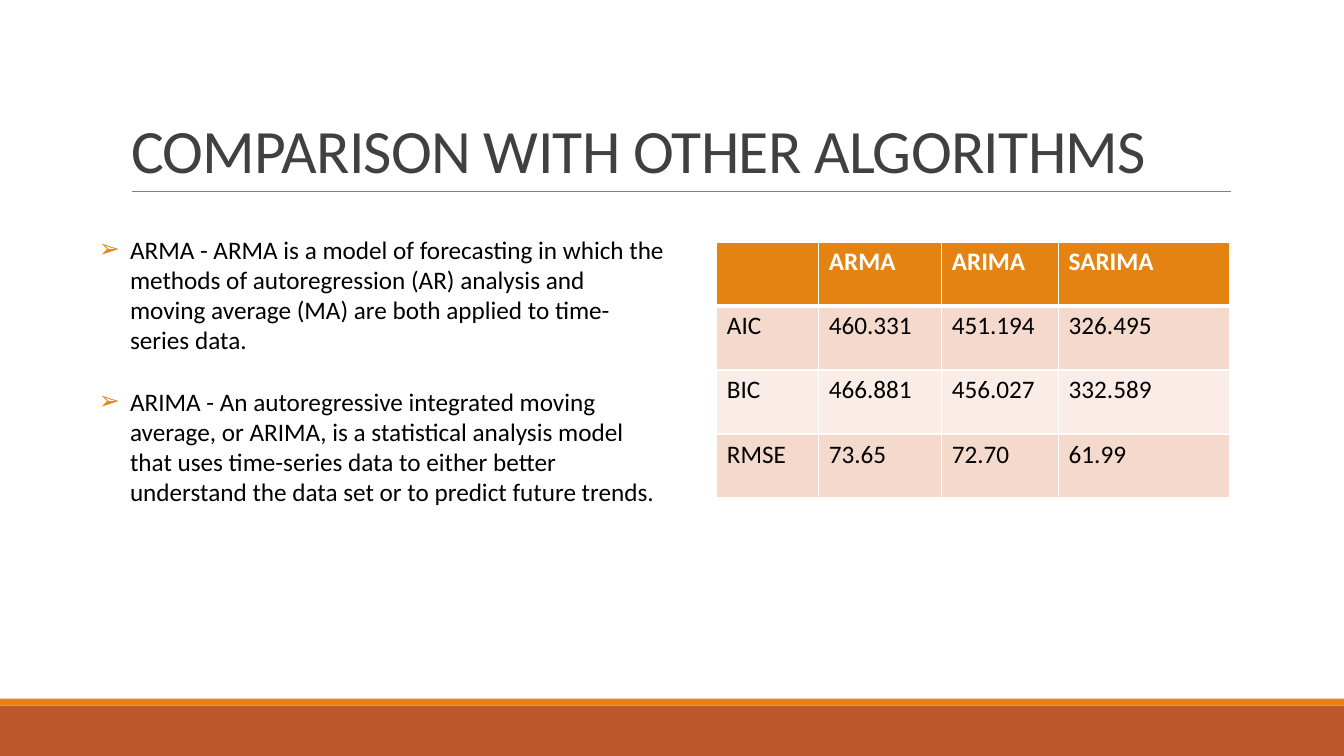
from dataclasses import dataclass

from lxml import etree
from pptx import Presentation
from pptx import util as u
from pptx.dml.color import RGBColor
from pptx.enum import shapes, text
from pptx.oxml import ns


@dataclass(frozen=True)
class Theme:
    font: str = "Calibri"
    title_size: int = 44
    body_size: int = 18
    title: str = "404040"
    body: str = "000000"
    light: str = "FFFFFF"
    accent: str = "E48312"
    footer: str = "BD582C"
    rule: str = "808080"
    bands: tuple = ("F5D9CC", "FAEDE7")


THEME = Theme()
WIDTH, HEIGHT = u.Inches(13.33), u.Inches(7.5)

MODELS = [
    "ARMA - ARMA is a model of forecasting in which the methods of "
    "autoregression (AR) analysis and moving average (MA) are both applied "
    "to time-series data.",
    "ARIMA - An autoregressive integrated moving average, or ARIMA, is a "
    "statistical analysis model that uses time-series data to either better "
    "understand the data set or to predict future trends.",
]
SCORES = [
    ["", "ARMA", "ARIMA", "SARIMA"],
    ["AIC", "460.331", "451.194", "326.495"],
    ["BIC", "466.881", "456.027", "332.589"],
    ["RMSE", "73.65", "72.70", "61.99"],
]
SCORE_COLUMNS = [7.58, 9.15, 8.7, 12.75]
SCORE_ROW = 8.47


# Lengths are percentages of the slide's width and height
def across(share):
    return u.Emu(round(WIDTH * share / 100))


def down(share):
    return u.Emu(round(HEIGHT * share / 100))


def box(left, top, width, height):
    return across(left), down(top), across(width), down(height)


def apply(target, formats):
    for name, value in formats.items():
        setattr(target, name, value)


def paint(fill, color):
    fill.solid()
    fill.fore_color.rgb = RGBColor.from_string(color)


def style(font, size, color, bold=False):
    apply(font, {"name": THEME.font, "size": u.Pt(size), "bold": bold})
    font.color.rgb = RGBColor.from_string(color)


def place(holder, area, anchor):
    apply(holder, dict(zip(("left", "top", "width", "height"), box(*area))))
    apply(holder.text_frame, {
        "word_wrap": True,
        "auto_size": text.MSO_AUTO_SIZE.NONE,
        "vertical_anchor": anchor,
    })


# Slide furniture
def add_band(slide, top, height, color):
    band = slide.shapes.add_shape(
        shapes.MSO_SHAPE.RECTANGLE, *box(0, top, 100, height))
    band.shadow.inherit = False
    paint(band.fill, color)
    band.line.fill.background()


def add_rule(slide, start, end, level):
    rule = slide.shapes.add_connector(
        shapes.MSO_CONNECTOR.STRAIGHT,
        across(start), down(level), across(end), down(level))
    rule.line.width = u.Pt(0.5)
    rule.line.color.rgb = RGBColor.from_string(THEME.rule)
    etree.SubElement(rule._element.spPr, ns.qn("a:effectLst"))


# Text in placeholders
def fill_title(heading, wording):
    place(heading, (9, 4.13, 82.52, 21.2), text.MSO_ANCHOR.BOTTOM)
    line = heading.text_frame.paragraphs[0]
    apply(line, {"alignment": text.PP_ALIGN.LEFT, "line_spacing": 0.85})
    run = line.add_run()
    run.text = wording
    style(run.font, THEME.title_size, THEME.title)
    run._r.get_or_add_rPr().set("spc", "-50")


def add_bullet(paragraph):
    props = paragraph._p.get_or_add_pPr()
    indent = u.Inches(0.31)
    props.set("marL", str(indent))
    props.set("indent", str(-indent))
    color = etree.SubElement(props, ns.qn("a:buClr"))
    etree.SubElement(color, ns.qn("a:srgbClr"), val=THEME.accent)
    etree.SubElement(props, ns.qn("a:buChar"), char="➢")


def fill_list(body, items):
    place(body, (6.6, 30.13, 43.66, 37.73), text.MSO_ANCHOR.MIDDLE)
    frame = body.text_frame
    for number, item in enumerate(items):
        entry = frame.add_paragraph() if number else frame.paragraphs[0]
        apply(entry, {
            "alignment": text.PP_ALIGN.LEFT,
            "line_spacing": 1.0,
            "space_before": u.Pt(22 if number else 0),
            "space_after": u.Pt(0),
        })
        add_bullet(entry)
        run = entry.add_run()
        run.text = item
        style(run.font, THEME.body_size, THEME.body)


# Score table
def add_borders(cell, bottom, top):
    props = cell._tc.get_or_add_tcPr()
    widths = {"a:lnL": 1, "a:lnR": 1, "a:lnT": top, "a:lnB": bottom}
    for place_in_order, (tag, points) in enumerate(widths.items()):
        edge = etree.Element(ns.qn(tag), w=str(u.Pt(points)))
        solid = etree.SubElement(edge, ns.qn("a:solidFill"))
        etree.SubElement(solid, ns.qn("a:srgbClr"), val=THEME.light)
        props.insert(place_in_order, edge)


def add_scores(slide, left, top):
    area = box(left, top, sum(SCORE_COLUMNS), SCORE_ROW * len(SCORES))
    scores = slide.shapes.add_table(
        len(SCORES), len(SCORE_COLUMNS), *area).table
    for column, share in zip(scores.columns, SCORE_COLUMNS):
        column.width = across(share)
    for r, values in enumerate(SCORES):
        scores.rows[r].height = down(SCORE_ROW)
        header = r == 0
        back = THEME.accent if header else THEME.bands[(r - 1) % 2]
        ink = THEME.light if header else THEME.body
        for c, value in enumerate(values):
            cell = scores.cell(r, c)
            cell.text = value
            paint(cell.fill, back)
            add_borders(cell, 3 if header else 1, 3 if r == 1 else 1)
            for run in cell.text_frame.paragraphs[0].runs:
                style(run.font, THEME.body_size, ink, header)


def main():
    deck = Presentation()
    apply(deck, {"slide_width": WIDTH, "slide_height": HEIGHT})
    slide = deck.slides.add_slide(deck.slide_layouts[1])
    paint(slide.background.fill, THEME.light)

    add_band(slide, 93.33, 6.67, THEME.footer)
    add_band(slide, 92.4, 0.93, THEME.accent)
    add_rule(slide, 9.83, 91.6, 25.33)

    fill_title(slide.shapes.title, "COMPARISON WITH OTHER ALGORITHMS")
    fill_list(slide.placeholders[1], MODELS)
    add_scores(slide, 53.34, 32)

    deck.save("out.pptx")


if __name__ == "__main__":
    main()
